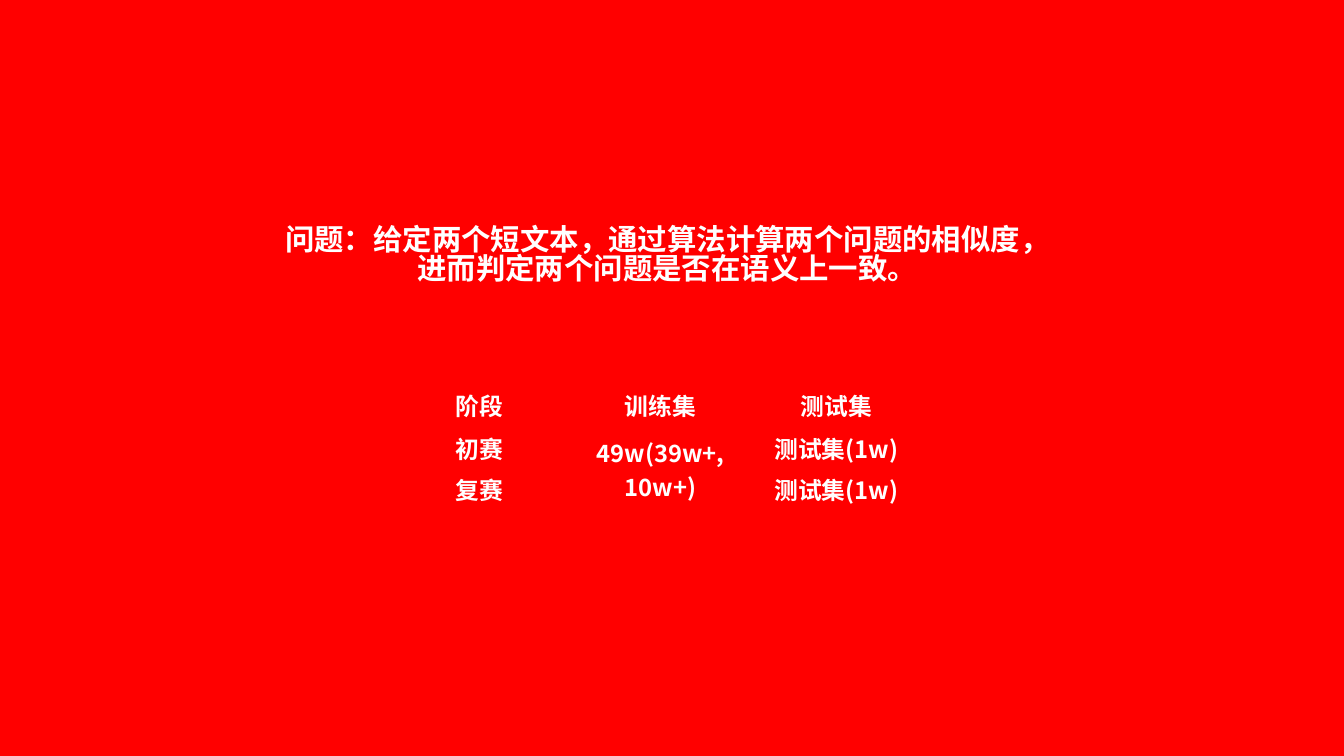
from pptx import Presentation
from pptx.dml.color import RGBColor
from pptx.enum.text import MSO_ANCHOR, MSO_AUTO_SIZE, PP_ALIGN
from pptx.oxml.ns import qn
from pptx.util import Inches, Pt

# Content
PROBLEM = "问题：给定两个短文本，通过算法计算两个问题的相似度，进而判定两个问题是否在语义上一致。"
DATASETS = [
    ("阶段", "训练集", "测试集"),
    ("初赛", "49w(39w+, 10w+)", "测试集(1w)"),
    ("复赛", "", "测试集(1w)"),
]

# Format
RED = RGBColor(0xFF, 0x00, 0x00)
WHITE = RGBColor(0xFF, 0xFF, 0xFF)
FONT = "Noto Sans CJK SC"
NO_GRID_STYLE = "{2D5ABB26-0587-4C30-8999-92F81FD0307C}"
COLUMN_WIDTHS = (3.43, 3.76, 3.21)
ROW_HEIGHTS = (0.86, 0.82, 0.82)
CELL_MARGINS = {"margin_left": 0.12, "margin_top": 0.06,
                "margin_right": 0.12, "margin_bottom": 0.06}


def write(frame, text, size):
    paragraph = frame.paragraphs[0]
    paragraph.alignment = PP_ALIGN.CENTER
    run = paragraph.add_run()
    run.text = text
    for name, value in {"name": FONT, "size": Pt(size), "bold": True}.items():
        setattr(run.font, name, value)
    run.font.color.rgb = WHITE
    # East Asian typeface follows the Latin one
    latin = run.font._element.find(qn("a:latin"))
    east_asian = latin.makeelement(qn("a:ea"), {"typeface": FONT})
    latin.addnext(east_asian)
    return paragraph


presentation = Presentation()
presentation.slide_width = Inches(26.67)
presentation.slide_height = Inches(15)
slide = presentation.slides.add_slide(presentation.slide_layouts[5])
slide.background.fill.solid()
slide.background.fill.fore_color.rgb = RED

# Problem statement
title = slide.shapes.title
box = {"left": 5.48, "top": 4.47, "width": 15.52, "height": 1.5}
for name, value in box.items():
    setattr(title, name, Inches(value))
frame = title.text_frame
frame.word_wrap = True
frame.auto_size = MSO_AUTO_SIZE.NONE
frame.vertical_anchor = MSO_ANCHOR.TOP
write(frame, PROBLEM, 42).line_spacing = 0.82

# Data set table
graphic = slide.shapes.add_table(
    len(ROW_HEIGHTS), len(COLUMN_WIDTHS), Inches(7.8), Inches(7.63),
    Inches(sum(COLUMN_WIDTHS)), Inches(sum(ROW_HEIGHTS)))
table = graphic.table
table.first_row = table.horz_banding = False
table._tbl.tblPr.find(qn("a:tableStyleId")).text = NO_GRID_STYLE
for column, width in zip(table.columns, COLUMN_WIDTHS):
    column.width = Inches(width)
for row, height in zip(table.rows, ROW_HEIGHTS):
    row.height = Inches(height)

for row, texts in zip(table.rows, DATASETS):
    for cell, text in zip(row.cells, texts):
        cell.fill.background()
        for name, value in CELL_MARGINS.items():
            setattr(cell, name, Inches(value))
        if text:
            write(cell.text_frame, text, 34)

# Both stages share one training set
training_set = table.cell(1, 1)
training_set.merge(table.cell(2, 1))
training_set.vertical_anchor = MSO_ANCHOR.MIDDLE

presentation.save("out.pptx")
